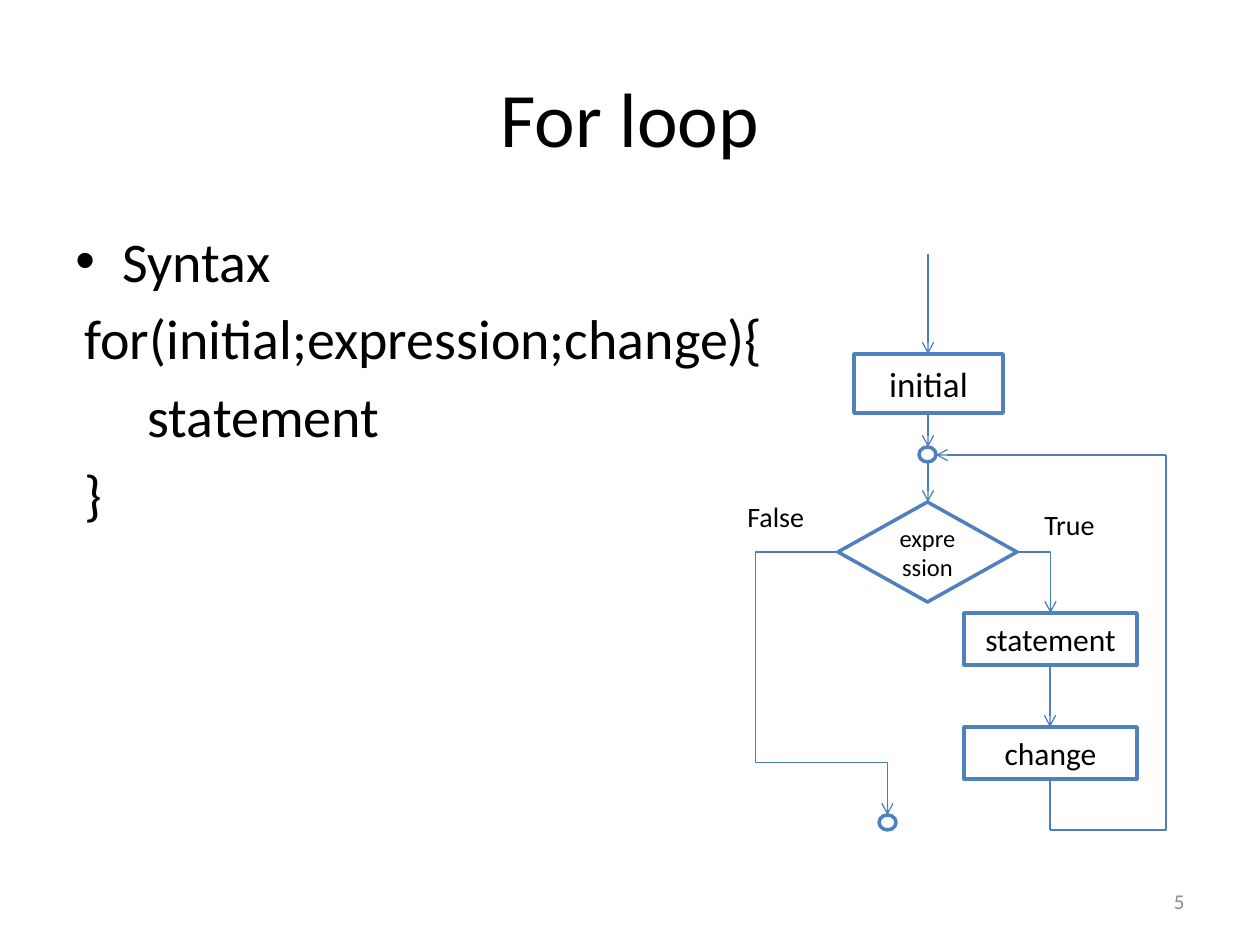
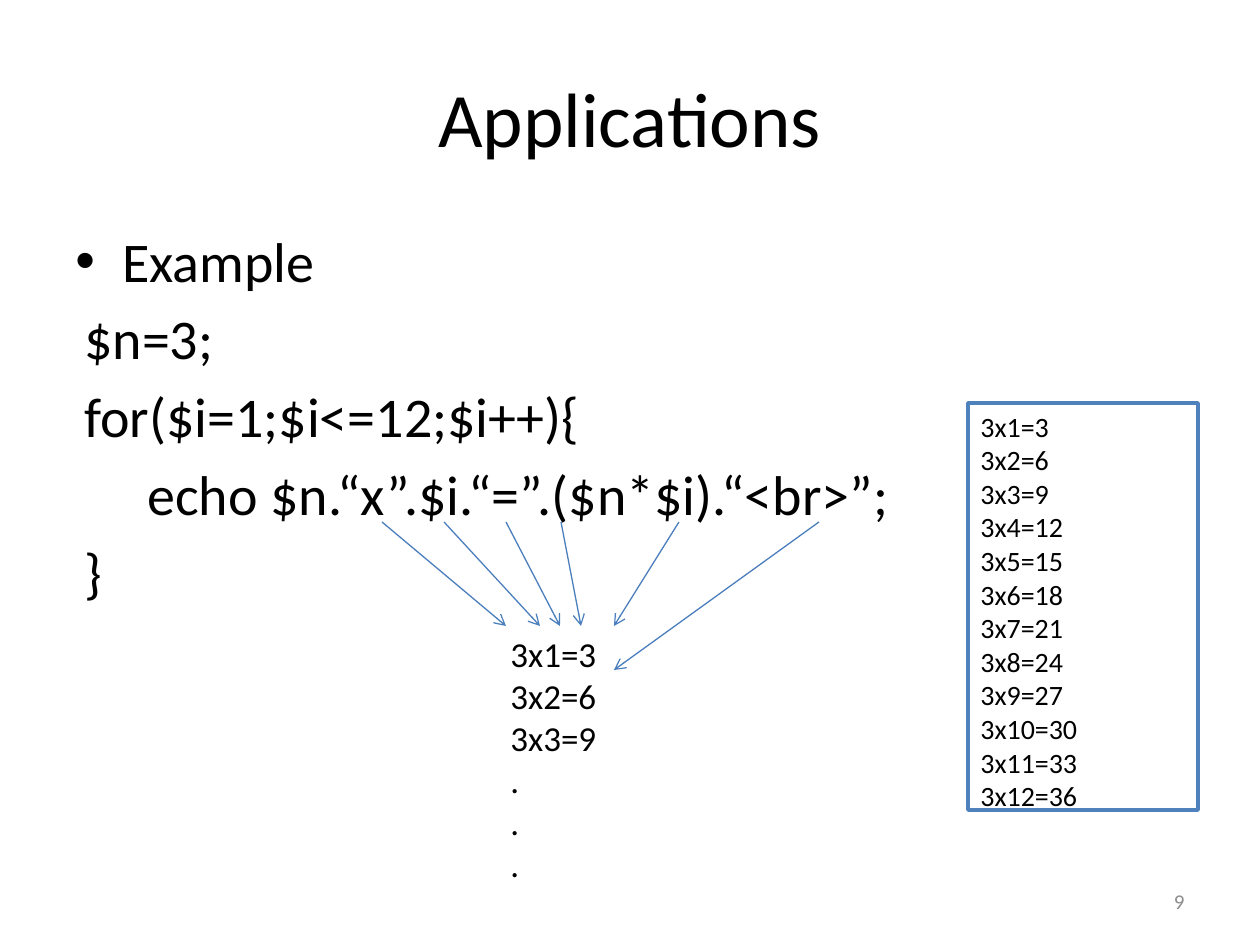
from lxml import etree
from pptx import Presentation
from pptx import util as u
from pptx.dml.color import RGBColor
from pptx.enum import shapes, text
from pptx.oxml.ns import qn

FONT = "Calibri"
COLORS = {"ink": "000000", "paper": "FFFFFF", "outline": "4F81BD",
          "arrow": "4B7EBC", "number": "8C8C8C"}
PX_PER_INCH = 126
TOP, LEFT, BOTTOM, RIGHT = range(4)
SHAPE = shapes.MSO_SHAPE
ALIGN = text.PP_ALIGN
ANCHOR = text.MSO_ANCHOR


def px(*lengths):
    return [round(n * u.Inches(1) / PX_PER_INCH) for n in lengths]


def rgb(name):
    return RGBColor.from_string(COLORS[name])


class Deck:
    def __init__(self):
        self.prs = Presentation()
        self.prs.slide_width, self.prs.slide_height = px(1260, 945)
        self.slide = None

    def start(self, heading, number):
        """Add a slide with its title and page number."""
        self.slide = self.prs.slides.add_slide(self.prs.slide_layouts[5])
        title = self.slide.shapes.title
        title.left, title.top, title.width, title.height = px(63, 38, 1134, 157)
        self.fill_text(title, [heading], 44, ALIGN.CENTER, ANCHOR.MIDDLE)
        self.label([number], (903, 876, 294, 50), 12, ALIGN.RIGHT,
                   ANCHOR.MIDDLE, "number")

    def fill_text(self, holder, lines, size, align=ALIGN.LEFT,
                  anchor=ANCHOR.TOP, color="ink"):
        frame = holder.text_frame
        frame.word_wrap = True
        frame.vertical_anchor = anchor
        frame.text = "\n".join(lines)
        for paragraph in frame.paragraphs:
            paragraph.alignment = align
            font = paragraph.font
            font.name, font.size = FONT, u.Pt(size)
            font.color.rgb = rgb(color)
        return frame.paragraphs

    def label(self, lines, box, size, *style):
        holder = self.slide.shapes.add_textbox(*px(*box))
        return self.fill_text(holder, lines, size, *style)

    def code(self, topic, lines):
        """Set a bulleted topic with code lines below it."""
        first, *rest = self.label([topic, *lines], (63, 220, 1134, 624), 32)
        props = first._p.get_or_add_pPr()
        indent, code_margin = px(47, 9)
        props.set("marL", str(indent))
        props.set("indent", str(-indent))
        bullet_font = etree.Element(qn("a:buFont"), typeface="Arial")
        props.insert(0, bullet_font)
        bullet_font.addnext(etree.Element(qn("a:buChar"), char="•"))
        for paragraph in rest:
            paragraph._p.get_or_add_pPr().set("marL", str(code_margin))
            paragraph.space_before = u.Pt(6)

    def box(self, kind, box, lines=(), size=18, align=ALIGN.CENTER,
            anchor=ANCHOR.MIDDLE):
        shape = self.slide.shapes.add_shape(kind, *px(*box))
        shape.shadow.inherit = False
        shape.fill.solid()
        shape.fill.fore_color.rgb = rgb("paper")
        shape.line.color.rgb = rgb("outline")
        shape.line.width = u.Pt(2)
        if lines:
            self.fill_text(shape, lines, size, align, anchor)
        return shape

    def line(self, start, end, arrow=True, kind=shapes.MSO_CONNECTOR.STRAIGHT):
        connector = self.slide.shapes.add_connector(kind, *px(*start, *end))
        connector.line.color.rgb = rgb("arrow")
        connector.line.width = u.Pt(0.75)
        props = connector._element.spPr
        if arrow:
            etree.SubElement(props.find(qn("a:ln")), qn("a:tailEnd"),
                             type="arrow")
        etree.SubElement(props, qn("a:effectLst"))
        return connector

    def elbow(self, start, end, preset, adjustments=(), arrow=True):
        """Draw a bent connector that leaves its start sideways."""
        connector = self.line(start, end, arrow, shapes.MSO_CONNECTOR.ELBOW)
        geometry = connector._element.spPr.find(qn("a:prstGeom"))
        geometry.set("prst", preset)
        guides = geometry.find(qn("a:avLst"))
        if guides is None:
            guides = etree.SubElement(geometry, qn("a:avLst"))
        for i, share in enumerate(adjustments, 1):
            etree.SubElement(guides, qn("a:gd"), name=f"adj{i}",
                             fmla=f"val {round(share * 100000)}")
        return connector


def for_loop(deck):
    deck.start("For loop", "5")
    deck.code("Syntax", ["for(initial;expression;change){", "\tstatement", "}"])

    deck.box(SHAPE.FLOWCHART_PROCESS, (854, 354, 149, 59), ["initial"], 20)
    decision = deck.box(SHAPE.FLOWCHART_DECISION, (838, 502, 179, 100),
                        ["expression"], 14)
    deck.box(SHAPE.FLOWCHART_CONNECTOR, (919, 447, 17, 15))
    loop_exit = deck.box(SHAPE.FLOWCHART_CONNECTOR, (879, 815, 17, 15))
    statement, _ = [
        deck.box(SHAPE.FLOWCHART_PROCESS, (964, top, 173, 52), [step])
        for top, step in ((613, "statement"), (727, "change"))]

    for top, bottom in ((254, 354), (413, 447), (462, 502)):
        deck.line((928, top), (928, bottom))
    deck.line((1050, 665), (1050, 727))
    deck.line((1050, 779), (1050, 830), arrow=False)
    deck.elbow((1050, 830), (1166, 455), "bentConnector2", arrow=False)
    deck.line((1166, 455), (936, 455))

    true_branch = deck.elbow((1017, 552), (1050, 613), "bentConnector2")
    true_branch.begin_connect(decision, RIGHT)
    true_branch.end_connect(statement, TOP)
    false_branch = deck.elbow((838, 552), (888, 815), "bentConnector4",
                              (-1.66, 0.8))
    false_branch.begin_connect(decision, LEFT)
    false_branch.end_connect(loop_exit, TOP)
    deck.label(["False"], (735, 493, 100, 47), 16)
    deck.label(["True"], (1032, 501, 100, 47), 16)


def applications(deck):
    deck.start("Applications", "9")
    deck.code("Example", ["$n=3;", "for($i=1;$i<=12;$i++){",
                          "\techo $n.“x”.$i.“=”.($n*$i).“<br>”;", "}"])
    products = [f"3x{i}={3 * i}" for i in range(1, 13)]
    deck.box(SHAPE.RECTANGLE, (968, 403, 230, 407), products, 16,
             ALIGN.LEFT, ANCHOR.TOP)
    deck.label(products[:3] + ["."] * 3, (498, 626, 230, 248), 20)
    for code_x, result in ((382, (506, 626)), (444, (540, 626)),
                           (506, (560, 626)), (561, (581, 626)),
                           (679, (614, 626)), (819, (614, 670))):
        deck.line((code_x, 522), result)


def main():
    deck = Deck()
    for_loop(deck)
    applications(deck)
    deck.prs.save("out.pptx")


if __name__ == "__main__":
    main()
